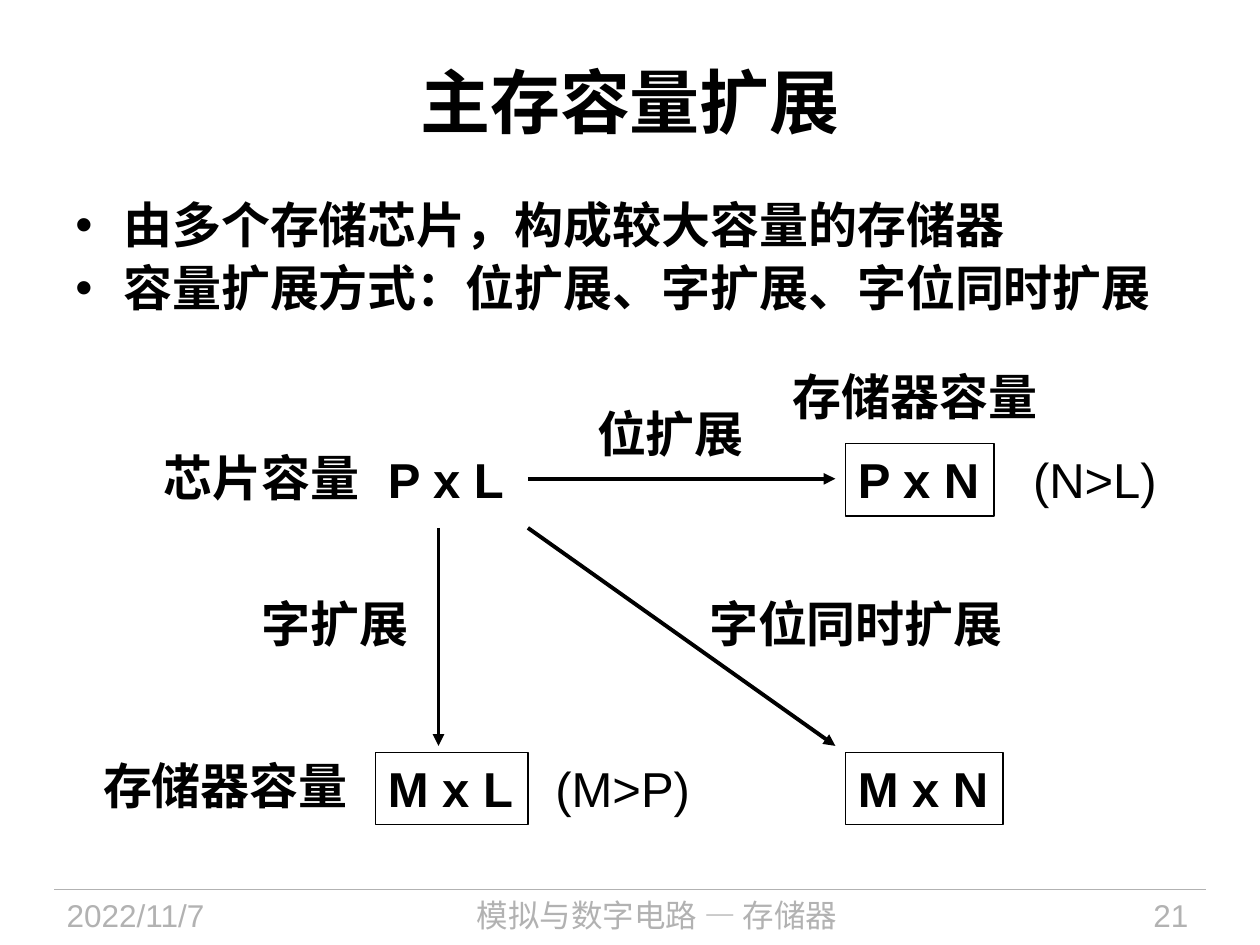
from collections import namedtuple

from lxml.etree import SubElement
from pptx import Presentation
from pptx.dml.color import RGBColor
from pptx.enum.shapes import MSO_CONNECTOR, MSO_SHAPE
from pptx.enum.text import MSO_ANCHOR, PP_ALIGN
from pptx.oxml.ns import qn
from pptx.util import Inches, Pt

BLACK = RGBColor(0x00, 0x00, 0x00)
GREY = RGBColor(0xB2, 0xB2, 0xB2)
WHITE = RGBColor(0xFF, 0xFF, 0xFF)
CHINESE = "Noto Sans CJK SC"
COLUMNS, ROWS = 100, 75
SLIDE_WIDTH, SLIDE_HEIGHT = Inches(10), Inches(7.5)

Box = namedtuple("Box", "column row columns rows")
LABEL = {"size": Pt(28), "name": "Arial", "bold": True}
CONDITION = {**LABEL, "bold": False}
HEADING = {"size": Pt(40), "name": "Times New Roman", "bold": True}
POINT = {**HEADING, "size": Pt(28)}
FOOTNOTE = {"size": Pt(18), "name": "Arial", "bold": False}


def across(columns):
    return round(SLIDE_WIDTH * columns / COLUMNS)


def down(rows):
    return round(SLIDE_HEIGHT * rows / ROWS)


def inside(region, column, row, columns=0, rows=0):
    return Box(region.column + column, region.row + row, columns, rows)


def frame(box):
    return across(box.column), down(box.row), across(box.columns), down(box.rows)


def write(paragraph, words, look, color=BLACK, **layout):
    run = paragraph.add_run()
    run.text = words
    for key, value in look.items():
        setattr(run.font, key, value)
    run.font.color.rgb = color
    SubElement(run.font._element, qn("a:ea"), typeface=CHINESE)
    for key, value in layout.items():
        setattr(paragraph, key, value)


def add_label(slide, box, words, look=LABEL, color=BLACK, wrap=False, **layout):
    label = slide.shapes.add_textbox(*frame(box))
    label.text_frame.word_wrap = wrap
    write(label.text_frame.paragraphs[0], words, look, color, **layout)


def add_capacity(slide, box, words):
    capacity = slide.shapes.add_shape(MSO_SHAPE.RECTANGLE, *frame(box))
    capacity.shadow.inherit = False
    capacity.fill.background()
    capacity.line.color.rgb = BLACK
    capacity.line.width = Pt(0.75)
    capacity.text_frame.word_wrap = False
    capacity.text_frame.vertical_anchor = MSO_ANCHOR.TOP
    write(capacity.text_frame.paragraphs[0], words, LABEL, alignment=PP_ALIGN.LEFT)


def add_line(slide, start, end, color, width, arrow=False):
    line = slide.shapes.add_connector(
        MSO_CONNECTOR.STRAIGHT, across(start.column), down(start.row),
        across(end.column), down(end.row))
    line.line.color.rgb = color
    line.line.width = Pt(width)
    if arrow:
        SubElement(line.line._get_or_add_ln(), qn("a:tailEnd"), type="triangle")
    SubElement(line._element.spPr, qn("a:effectLst"))


def add_heading(slide, box):
    heading = slide.shapes.title
    heading.left, heading.top, heading.width, heading.height = frame(box)
    heading.text_frame.vertical_anchor = MSO_ANCHOR.MIDDLE
    write(heading.text_frame.paragraphs[0], "主存容量扩展", HEADING,
          alignment=PP_ALIGN.CENTER)


def add_points(slide, box):
    body = slide.shapes.add_textbox(*frame(box)).text_frame
    body.word_wrap = True
    points = ["由多个存储芯片，构成较大容量的存储器",
              "容量扩展方式：位扩展、字扩展、字位同时扩展"]
    for number, words in enumerate(points):
        paragraph = body.add_paragraph() if number else body.paragraphs[0]
        write(paragraph, words, POINT, line_spacing=0.9, space_after=Pt(5.6))
        properties = paragraph._p.get_or_add_pPr()
        properties.set("marL", str(across(3.8)))
        properties.set("indent", str(-across(3.8)))
        SubElement(properties, qn("a:buFont"), typeface="Arial")
        SubElement(properties, qn("a:buChar"), char="•")


def add_expansion(slide, region):
    chip, memory = 22.6, 59.9
    top, bottom = 6.1, 30.6
    height = 5.75
    arrow_left, arrow_right = 34.7, 59.1
    arrow_top, arrow_bottom = 12.8, 30.1

    for column, row, columns, words in [
            (memory, top, 11.8, "P x N"),
            (chip, bottom, 12.1, "M x L"),
            (memory, bottom, 12.5, "M x N")]:
        add_capacity(slide, inside(region, column, row, columns, height), words)

    for start, end in [
            ((arrow_left, 8.9), (arrow_right, 8.9)),
            ((27.6, arrow_top), (27.6, arrow_bottom)),
            ((arrow_left, arrow_top), (arrow_right, arrow_bottom))]:
        add_line(slide, inside(region, *start), inside(region, *end), BLACK, 2.25, True)

    for column, row, columns, words, look in [
            (chip, top, 11.3, "P x L", LABEL),
            (4.8, 5.9, 17.6, "芯片容量", LABEL),
            (39.2, 2.4, 13.7, "位扩展", LABEL),
            (12.6, 17.5, 13.7, "字扩展", LABEL),
            (48.1, 17.5, 25.5, "字位同时扩展", LABEL),
            (73.8, top, 11.9, "(N>L)", CONDITION),
            (35.9, bottom, 12.7, "(M>P)", CONDITION)]:
        add_label(slide, inside(region, column, row, columns, height), words, look)

    for column, row in [(54.7, 0), (0, 30.9)]:
        add_label(slide, inside(region, column, row, 22, 5.2), "存储器容量",
                  wrap=True, line_spacing=0.9)


def add_footer(slide, region):
    add_line(slide, inside(region, 0, 0), inside(region, region.columns, 0), GREY, 0.75)
    for column, columns, words, alignment in [
            (0, 18.8, "2022/11/7", PP_ALIGN.LEFT),
            (19.7, 56.3, "模拟与数字电路 — 存储器", PP_ALIGN.CENTER),
            (77.7, 13.3, "21", PP_ALIGN.RIGHT)]:
        add_label(slide, inside(region, column, 0, columns, region.rows), words,
                  FOOTNOTE, GREY, True, alignment=alignment)


def main():
    presentation = Presentation()
    presentation.slide_width, presentation.slide_height = SLIDE_WIDTH, SLIDE_HEIGHT
    slide = presentation.slides.add_slide(presentation.slide_layouts[5])
    slide.background.fill.solid()
    slide.background.fill.fore_color.rgb = WHITE
    add_footer(slide, Box(4.3, 70.6, 91.4, 4.4))
    add_heading(slide, Box(5, 1.7, 90, 12.5))
    add_points(slide, Box(5, 15.5, 90, 19.7))
    add_expansion(slide, Box(7.2, 29.1, 85.7, 36.4))
    presentation.save("out.pptx")


if __name__ == "__main__":
    main()
